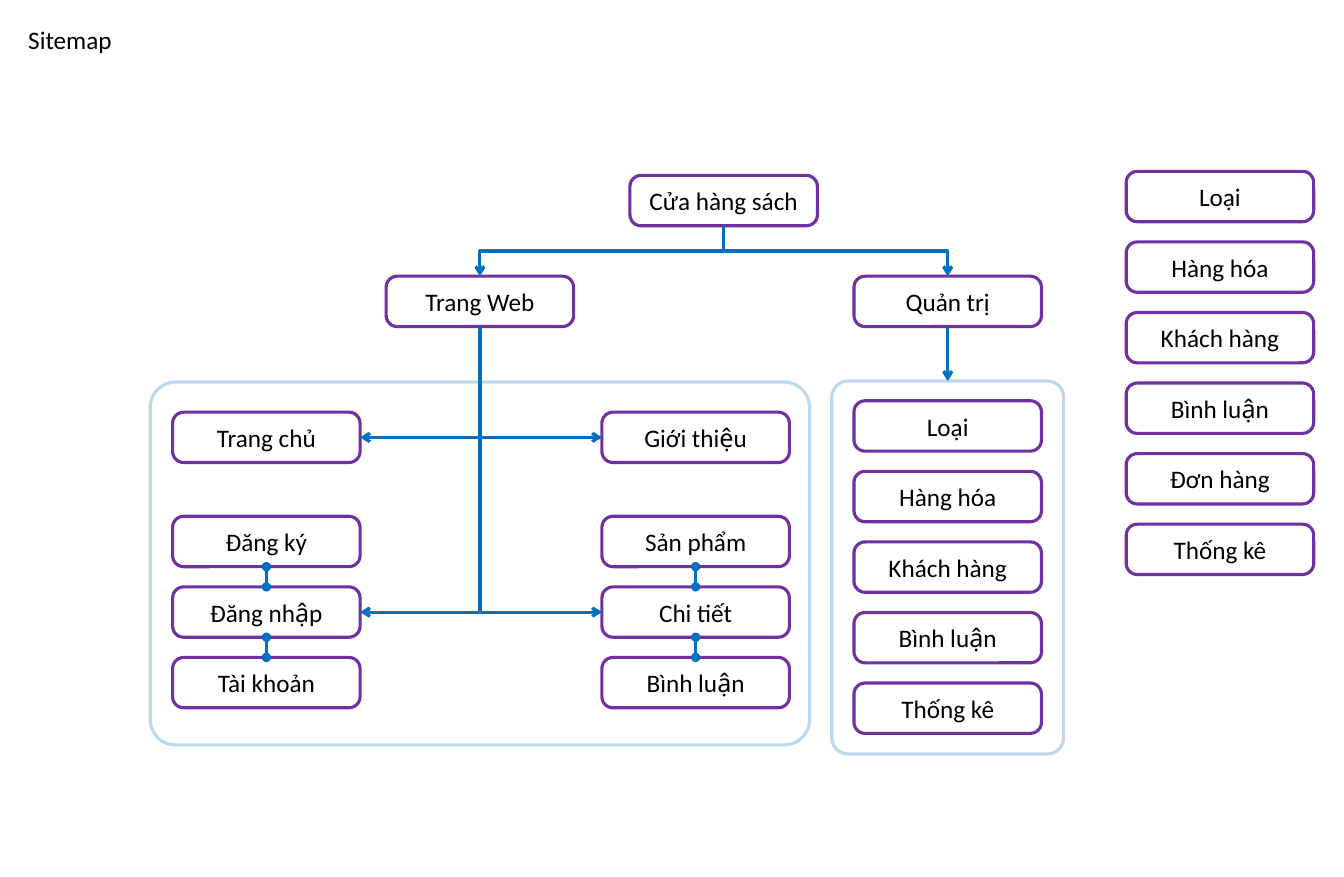
from collections import namedtuple
from lxml.etree import SubElement
from pptx import Presentation
from pptx.dml.color import RGBColor
from pptx.enum.shapes import MSO_CONNECTOR, MSO_SHAPE
from pptx.enum.text import MSO_ANCHOR, MSO_AUTO_SIZE, PP_ALIGN
from pptx.oxml.ns import qn
from pptx.util import Inches, Pt

BLACK = RGBColor(0x00, 0x00, 0x00)
WHITE = RGBColor(0xFF, 0xFF, 0xFF)
PURPLE = RGBColor(0x70, 0x30, 0xA0)
BLUE = RGBColor(0x00, 0x70, 0xC0)
PALE_BLUE = RGBColor(0xBD, 0xD7, 0xEE)

SLIDE_WIDTH, SLIDE_HEIGHT = 13.33, 8.7
NODE_WIDTH, NODE_HEIGHT, ROW = 1.86, 0.5, 0.7
LINE_WIDTH = Pt(2.25)
FONT = {"name": "Calibri", "size": Pt(18), "bold": False}
NODE_FRAME = {"vertical_anchor": MSO_ANCHOR.MIDDLE, "word_wrap": True}
TITLE_FRAME = {"vertical_anchor": MSO_ANCHOR.TOP, "word_wrap": True,
               "auto_size": MSO_AUTO_SIZE.NONE}

ROOT = "Cư\u0309a ha\u0300ng sa\u0301ch"
WEB, ADMIN = "Trang Web", "Qua\u0309n tri\u0323"
HOME, ABOUT = "Trang chu\u0309", "Giơ\u0301i thiê\u0323u"
COMMENTS = "Bi\u0300nh luâ\u0323n"
ADMIN_PAGES = ["Loa\u0323i", "Ha\u0300ng ho\u0301a", "Kha\u0301ch ha\u0300ng",
               COMMENTS, "Thô\u0301ng kê"]
ALL_RECORDS = ADMIN_PAGES[:4] + ["Đơn ha\u0300ng"] + ADMIN_PAGES[4:]
ACCOUNT_PAGES = ["Đăng ky\u0301", "Đăng nhâ\u0323p", "Ta\u0300i khoa\u0309n"]
PRODUCT_PAGES = ["Sa\u0309n phâ\u0309m", "Chi tiê\u0301t", COMMENTS]

Box = namedtuple("Box", "left top width height")


def set_values(target, values):
    """Set each attribute of the target from a dict."""
    for name, value in values.items():
        setattr(target, name, value)


def write_text(frame, text, alignment, frame_values):
    """Put one formatted paragraph in a text frame."""
    set_values(frame, frame_values)
    paragraph = frame.paragraphs[0]
    paragraph.alignment = alignment
    run = paragraph.add_run()
    run.text = text
    set_values(run.font, FONT)
    run.font.color.rgb = BLACK


def add_round_box(shapes, box, line_color, roundness):
    """Add a white rounded rectangle with a coloured outline."""
    shape = shapes.add_shape(MSO_SHAPE.ROUNDED_RECTANGLE, *map(Inches, box))
    shape.adjustments[0] = roundness
    shape.shadow.inherit = False
    shape.fill.solid()
    shape.fill.fore_color.rgb = WHITE
    shape.line.color.rgb = line_color
    shape.line.width = LINE_WIDTH
    return shape


def add_node(shapes, left, top, text):
    """Add one page of the sitemap and return its box."""
    box = Box(left, top, NODE_WIDTH, NODE_HEIGHT)
    shape = add_round_box(shapes, box, PURPLE, 0.22)
    shape.fill.background()
    write_text(shape.text_frame, text, PP_ALIGN.CENTER, NODE_FRAME)
    return box


def add_stack(shapes, left, top, labels):
    """Add a column of pages, one a row, and return their boxes."""
    return [add_node(shapes, left, top + row * ROW, label)
            for row, label in enumerate(labels)]


def bottom_of(box):
    """Return the middle of a box's lower edge."""
    return box.left + box.width / 2, box.top + box.height


def top_of(box):
    """Return the middle of a box's upper edge."""
    return box.left + box.width / 2, box.top


def add_line(shapes, kind, start, end, **ends):
    """Add a blue connector with the given headEnd and tailEnd types."""
    connector = shapes.add_connector(kind, *map(Inches, (*start, *end)))
    connector.line.color.rgb = BLUE
    connector.line.width = LINE_WIDTH
    properties = connector._element.spPr
    for end_name, end_type in ends.items():
        SubElement(properties.find(qn("a:ln")), qn("a:" + end_name), type=end_type)
    SubElement(properties, qn("a:effectLst"))
    return properties


def add_elbow(shapes, start, end, preset):
    """Add a bent arrow that leaves its start downwards."""
    (x1, y1), (x2, y2) = start, end
    middle_x, middle_y = (x1 + x2) / 2, (y1 + y2) / 2
    half_width, half_height = (y2 - y1) / 2, abs(x2 - x1) / 2
    rightwards = x2 > x1
    side = half_width if rightwards else -half_width
    properties = add_line(shapes, MSO_CONNECTOR.ELBOW,
                          (middle_x + side, middle_y - half_height),
                          (middle_x - side, middle_y + half_height), tailEnd="arrow")
    properties.find(qn("a:xfrm")).set("rot", str((270 if rightwards else 90) * 60000))
    properties.find(qn("a:prstGeom")).set("prst", preset)


def add_title(slide, box):
    """Move and format the title placeholder."""
    title = slide.shapes.title
    set_values(title, dict(zip(Box._fields, map(Inches, box))))
    write_text(title.text_frame, "Sitemap", PP_ALIGN.LEFT, TITLE_FRAME)


def add_top_levels(slide, box):
    """Add the root and its two branches, and return the branch boxes."""
    shapes = slide.shapes
    branch_top = box.top + box.height - NODE_HEIGHT
    root = add_node(shapes, box.left + 0.372 * box.width, box.top, ROOT)
    web = add_node(shapes, box.left, branch_top, WEB)
    admin = add_node(shapes, box.left + box.width - NODE_WIDTH, branch_top, ADMIN)
    for branch in (web, admin):
        add_elbow(shapes, bottom_of(root), top_of(branch), "bentConnector3")
    return web, admin


def add_admin_panel(slide, box, admin):
    """Add the framed administration pages below their branch."""
    shapes = slide.shapes.add_group_shape().shapes
    add_round_box(shapes, box, PALE_BLUE, 0.07)
    add_stack(shapes, admin.left, box.top + 0.053 * box.height, ADMIN_PAGES)
    add_line(slide.shapes, MSO_CONNECTOR.STRAIGHT, bottom_of(admin),
             (bottom_of(admin)[0], box.top), tailEnd="arrow")


def add_web_panel(slide, box, web):
    """Add the framed web pages and the arrows from their branch."""
    shapes = slide.shapes
    add_round_box(shapes, box, PALE_BLUE, 0.07)
    columns = ((0.034, 1, HOME, ACCOUNT_PAGES), (0.685, 0, ABOUT, PRODUCT_PAGES))
    for share, facing_edge, first_page, pages in columns:
        left = box.left + share * box.width
        first = add_node(shapes, left, box.top + 0.083 * box.height, first_page)
        stack = add_stack(shapes.add_group_shape().shapes, left,
                          box.top + 0.37 * box.height, pages)
        for upper, lower in zip(stack, stack[1:]):
            add_line(shapes, MSO_CONNECTOR.STRAIGHT, bottom_of(upper), top_of(lower),
                     headEnd="oval", tailEnd="oval")
        for page in (first, stack[1]):
            target = left + facing_edge * NODE_WIDTH, page.top + NODE_HEIGHT / 2
            add_elbow(shapes, bottom_of(web), target, "bentConnector2")


def add_record_list(slide, box):
    """Add the free column of record types."""
    add_stack(slide.shapes.add_group_shape().shapes, box.left, box.top, ALL_RECORDS)


def build_sitemap(presentation):
    """Build the sitemap slide."""
    slide = presentation.slides.add_slide(presentation.slide_layouts[5])
    add_title(slide, Box(0.18, 0.19, 2.78, 0.4))
    web, admin = add_top_levels(slide, Box(3.83, 1.74, 6.5, 1.5))
    add_admin_panel(slide, Box(8.25, 3.78, 2.3, 3.7), admin)
    add_web_panel(slide, Box(1.49, 3.79, 6.54, 3.6), web)
    add_record_list(slide, Box(11.17, 1.7, NODE_WIDTH, len(ALL_RECORDS) * ROW))


presentation = Presentation()
presentation.slide_width = Inches(SLIDE_WIDTH)
presentation.slide_height = Inches(SLIDE_HEIGHT)
build_sitemap(presentation)
presentation.save("out.pptx")
